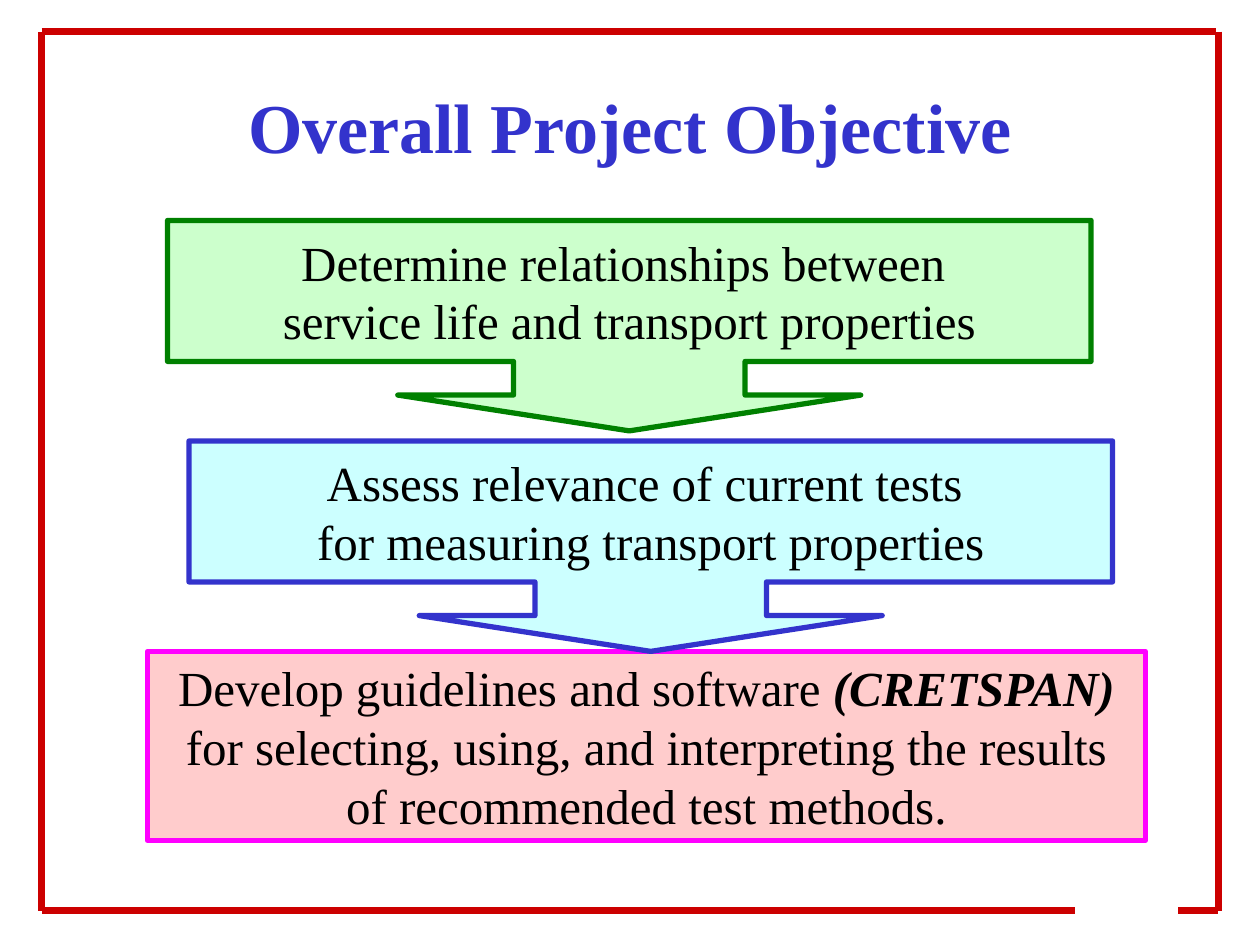
from pptx import Presentation
from pptx.dml.color import RGBColor
from pptx.enum.shapes import MSO_CONNECTOR, MSO_SHAPE
from pptx.enum.text import MSO_ANCHOR as Anchor, PP_ALIGN as Align
from pptx.oxml.ns import qn
from pptx.util import Inches, Pt
from lxml.etree import SubElement

COLORS = {
    "frame": "CC0000", "title": "3333CC", "text": "000000",
    "green": "CCFFCC", "green_line": "008000",
    "blue": "CCFFFF", "blue_line": "3333CC",
    "pink": "FFCCCC", "pink_line": "FF00FF",
}
FONT = "Times New Roman"
WIDTH, HEIGHT = 10, 7.5
LEFT, RIGHT, TOP, BOTTOM = 0.33, 9.67, 0.25, 7.23

TITLE = "Overall Project Objective"
GOAL = [[
    ("Develop guidelines and software ", False),
    ("(CRETSPAN)", True),
    (" for selecting, using, and interpreting the results of recommended test methods.", False),
]]
STEPS = [
    ("green", [[("Determine relationships between ", False)],
               [("service life and transport properties", False)]]),
    ("blue", [[("Assess relevance of current tests ", False)],
              [("for measuring transport properties", False)]]),
]
FRAME = [
    (LEFT, BOTTOM, 8.53, BOTTOM),
    (0.5, TOP, 9.65, TOP),
    (RIGHT, TOP, RIGHT, BOTTOM),
    (LEFT, BOTTOM, LEFT, TOP),
    (LEFT, TOP, 0.54, TOP),
    (9.35, BOTTOM, RIGHT, BOTTOM),
]
STEP_LEFT, STEP_TOP, STEP_WIDTH, STEP_HEIGHT = 1.33, 1.75, 7.33, 1.67
STEP_SHIFT, STEP_PITCH = 0.17, 1.75
CALLOUT = (1.1, 1.1, 0.17, 0.67)


def color(name):
    return RGBColor.from_string(COLORS[name])


def write(shape, paragraphs, size=28, ink="text", bold=False, anchor=Anchor.MIDDLE, wrap=True):
    frame = shape.text_frame
    frame.word_wrap = wrap
    frame.vertical_anchor = anchor
    for index, spans in enumerate(paragraphs):
        para = frame.add_paragraph() if index else frame.paragraphs[0]
        para.alignment = Align.CENTER
        for text, strong in spans:
            span = para.add_run()
            span.text = text
            span.font.name = FONT
            span.font.size = Pt(size)
            span.font.bold = bold or strong
            span.font.italic = strong
            span.font.color.rgb = color(ink)


def add_box(page, kind, left, top, width, height, tint):
    box = page.shapes.add_shape(kind, *map(Inches, (left, top, width, height)))
    box.shadow.inherit = False
    box.fill.solid()
    box.fill.fore_color.rgb = color(tint)
    box.line.color.rgb = color(tint + "_line")
    box.line.width = Pt(3)
    return box


def add_line(page, ends):
    line = page.shapes.add_connector(MSO_CONNECTOR.STRAIGHT, *map(Inches, ends))
    line.line.color.rgb = color("frame")
    line.line.width = Pt(4)
    SubElement(line._element.spPr, qn("a:effectLst"))


def main():
    deck = Presentation()
    deck.slide_width, deck.slide_height = Inches(WIDTH), Inches(HEIGHT)
    page = deck.slides.add_slide(deck.slide_layouts[5])

    for ends in FRAME:
        add_line(page, ends)

    title = page.shapes.title
    title.left, title.top, title.width, title.height = map(Inches, (0.75, 0.5, 8.5, 1))
    write(title, [[(TITLE, False)]], size=40, ink="title", bold=True)

    goal_top = STEP_TOP + len(STEPS) * STEP_PITCH - 0.08
    goal = add_box(page, MSO_SHAPE.RECTANGLE, 1.17, goal_top, 7.92, 1.5, "pink")
    write(goal, GOAL, anchor=Anchor.TOP)

    for index, (tint, paragraphs) in enumerate(STEPS):
        step = add_box(page, MSO_SHAPE.DOWN_ARROW_CALLOUT,
                       STEP_LEFT + index * STEP_SHIFT, STEP_TOP + index * STEP_PITCH,
                       STEP_WIDTH, STEP_HEIGHT, tint)
        for position, value in enumerate(CALLOUT):
            step.adjustments[position] = value
        write(step, paragraphs, wrap=False)

    deck.save("out.pptx")


if __name__ == "__main__":
    main()
